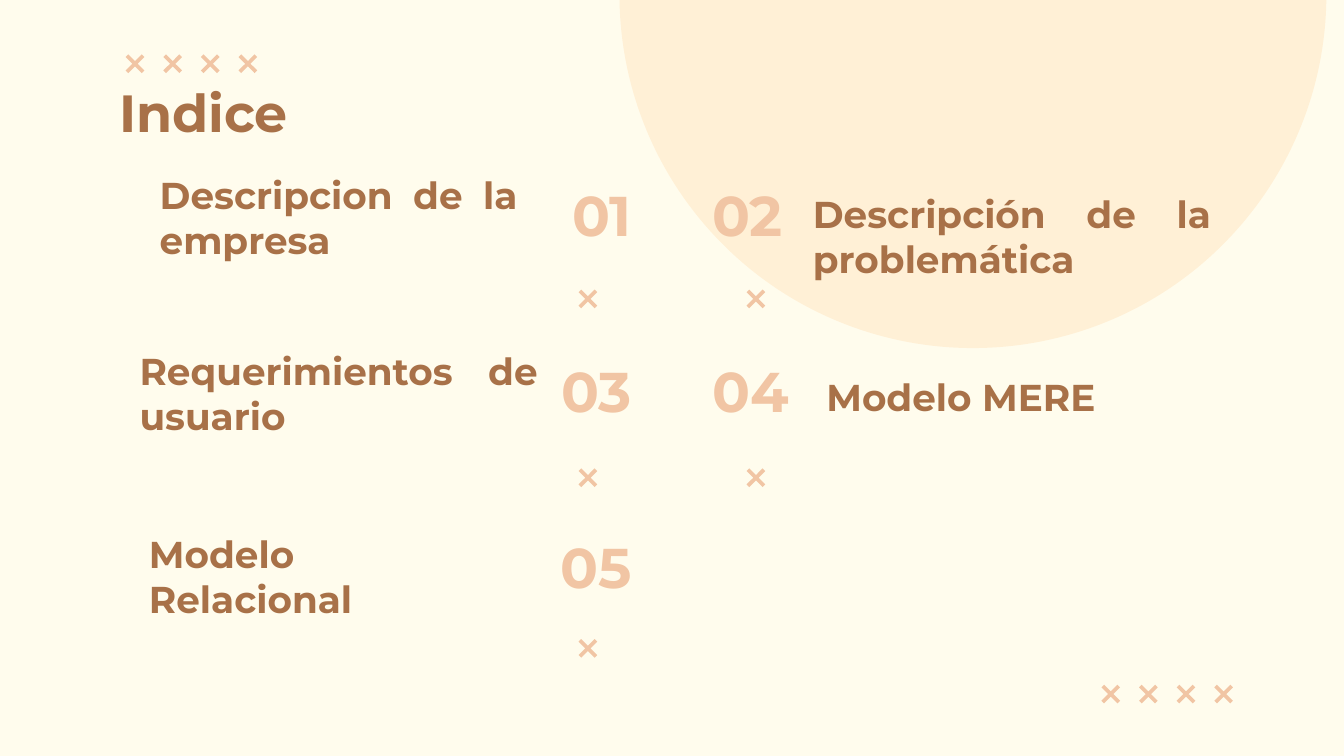
from pptx import Presentation
from pptx.dml.color import RGBColor
from pptx.enum.shapes import MSO_SHAPE as SHAPE
from pptx.enum.text import MSO_ANCHOR as ANCHOR, PP_ALIGN as ALIGN
from pptx.util import Inches, Pt

CREAM = RGBColor(0xFF, 0xFC, 0xED)
SAND = RGBColor(0xFF, 0xF0, 0xD6)
PEACH = RGBColor(0xF1, 0xC5, 0xA4)
BROWN = RGBColor(0xA8, 0x71, 0x48)

presentation = Presentation()
presentation.slide_width = Inches(10)
presentation.slide_height = Inches(10 * 9 / 16)
slide = presentation.slides.add_slide(presentation.slide_layouts[6])
slide.background.fill.solid()
slide.background.fill.fore_color.rgb = CREAM


def add_text(text, left, top, width, height, size=20, color=BROWN,
             align=ALIGN.JUSTIFY, anchor=ANCHOR.BOTTOM, space_after=0):
    box = slide.shapes.add_textbox(Inches(left), Inches(top), Inches(width), Inches(height))
    frame = box.text_frame
    frame.word_wrap = True
    frame.vertical_anchor = anchor
    frame.margin_left = frame.margin_right = Inches(0.1)
    frame.margin_top = frame.margin_bottom = 0
    paragraph = frame.paragraphs[0]
    paragraph.alignment = align
    paragraph.space_after = Pt(space_after)
    run = paragraph.add_run()
    run.text = text
    run.font.name = "Montserrat"
    run.font.size = Pt(size)
    run.font.bold = True
    run.font.color.rgb = color


def add_shape(kind, left, top, size, color, adjustments):
    shape = slide.shapes.add_shape(kind, Inches(left), Inches(top), Inches(size), Inches(size))
    shape.shadow.inherit = False
    shape.fill.solid()
    shape.fill.fore_color.rgb = color
    shape.line.fill.background()
    for index, value in enumerate(adjustments):
        shape.adjustments[index] = value
    return shape


half_circle = add_shape(SHAPE.CHORD, 4.61, -2.67, 5.26, SAND, [27, 134.85])
half_circle.rotation = 315

row_crosses = [(left + 0.28 * step, top) for left, top in [(0.89, 0.36), (8.15, 5.05)] for step in range(4)]
number_crosses = [(4.26, 2.11), (5.51, 2.11), (4.26, 3.44), (5.51, 3.44), (4.26, 4.71)]
for left, top in row_crosses + number_crosses:
    add_shape(SHAPE.MATH_MULTIPLY, left, top, 0.23, PEACH, [0.12])

add_text("Indice", 0.79, 0.6, 8.43, 0.46, size=28, align=ALIGN.LEFT, anchor=ANCHOR.TOP)

topics = [
    ("Descripcion de la empresa", 1.09, 1.28, 2.86),
    ("Descripción de la problemática", 5.95, 1.42, 3.16),
    ("Requerimientos de usuario", 0.94, 2.59, 3.16),
    ("Modelo MERE", 6.05, 2.45, 2.86),
    ("Modelo Relacional", 1.01, 3.95, 2.86),
]
number_columns = [(3.95, ALIGN.RIGHT), (5.2, ALIGN.LEFT)]
for index, (topic, left, top, width) in enumerate(topics):
    row, column = divmod(index, 2)
    number_left, number_align = number_columns[column]
    add_text(f"{index + 1:02}", number_left, 1.34 + 1.31 * row, 0.85, 0.5,
             size=30, color=PEACH, align=number_align)
    add_text(topic, left, top, width, 0.67, space_after=12)

presentation.save("out.pptx")
